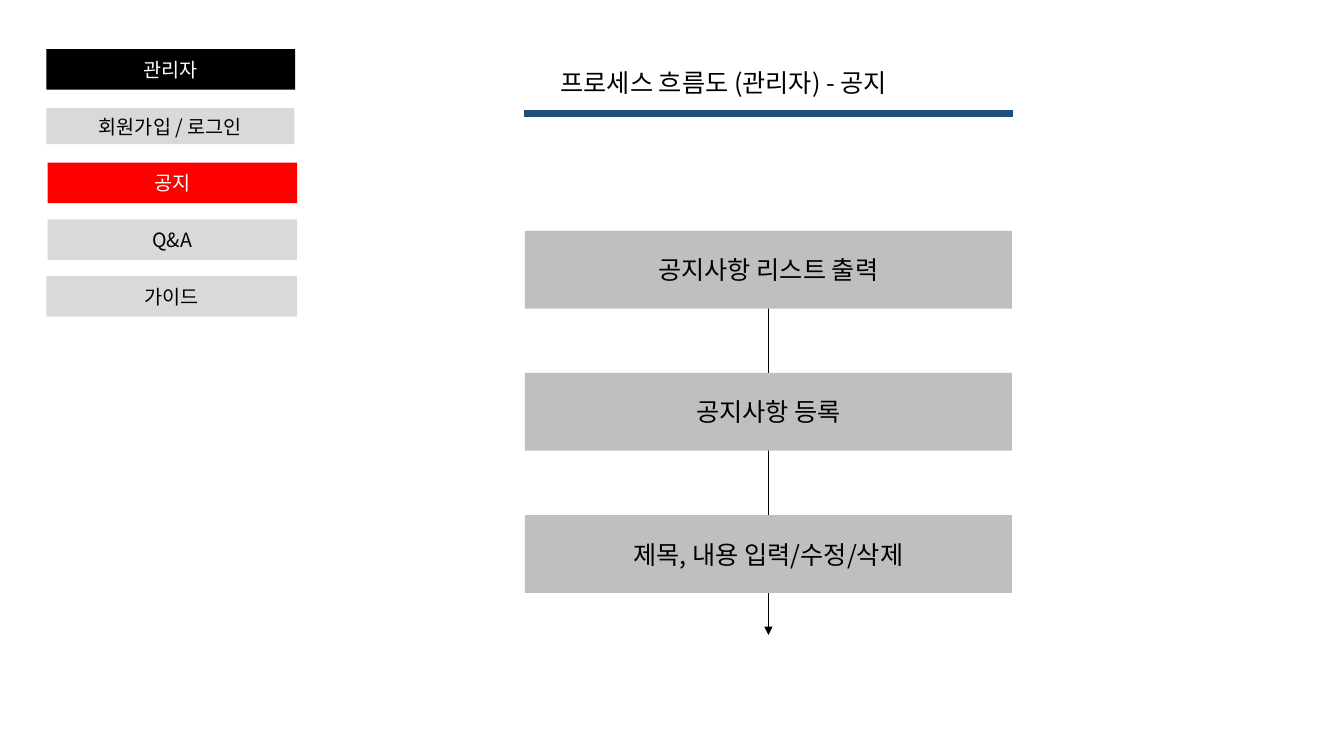
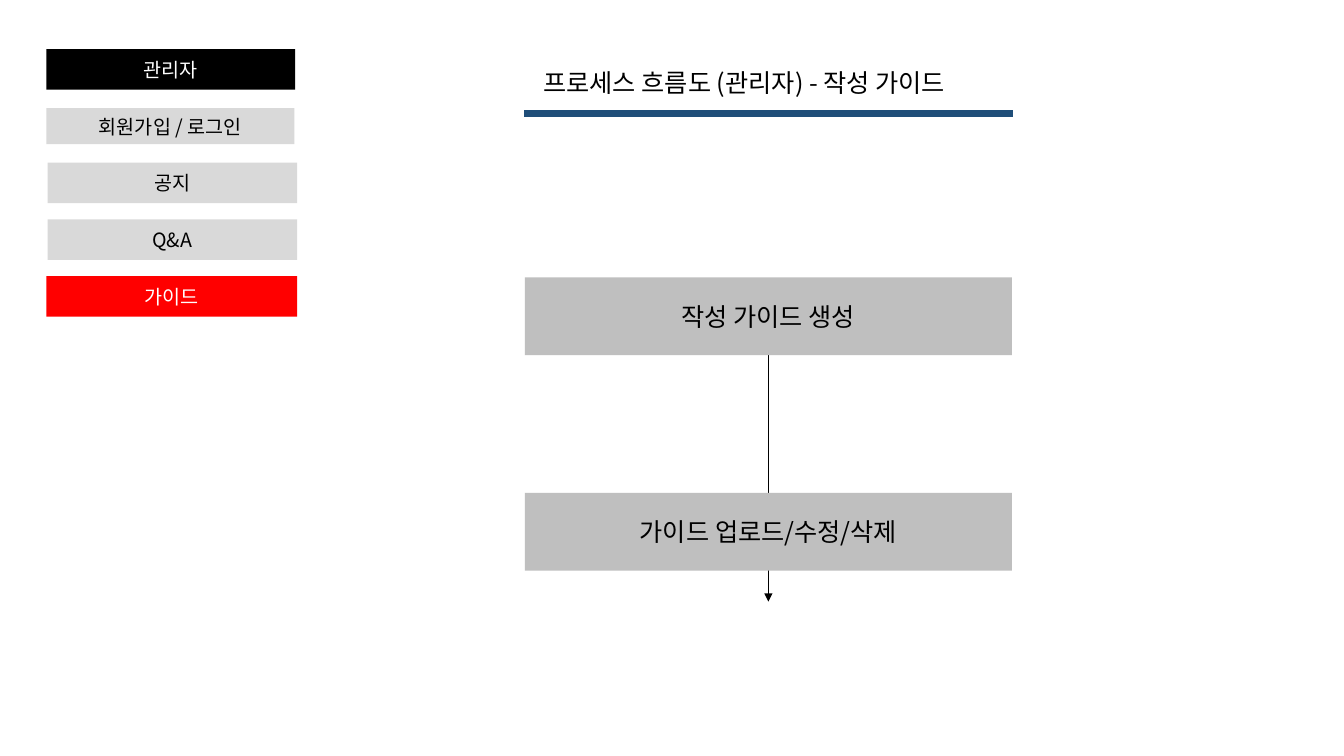
from lxml import etree
from pptx import Presentation
from pptx.dml.color import RGBColor
from pptx.enum.shapes import MSO_CONNECTOR, MSO_SHAPE
from pptx.enum.text import MSO_ANCHOR, PP_ALIGN
from pptx.oxml.ns import qn
from pptx.util import Cm, Pt

RECT = MSO_SHAPE.RECTANGLE
STRAIGHT = MSO_CONNECTOR.STRAIGHT
TOP, MIDDLE = MSO_ANCHOR.TOP, MSO_ANCHOR.MIDDLE
LEFT, CENTER = PP_ALIGN.LEFT, PP_ALIGN.CENTER

FONT = "Noto Sans CJK KR"
BLACK, WHITE = "000000", "FFFFFF"
NAVY, RED = "1F4E79", "FF0000"
MENU_GRAY, STEP_GRAY = "D9D9D9", "BFBFBF"

# label, left, width, height in cm
MENU = [
    ("관리자", 1.17, 6.27, 1.02),
    ("회원가입 / 로그인", 1.17, 6.25, 0.91),
    ("공지", 1.2, 6.29, 1.02),
    ("Q&A", 1.2, 6.29, 1.02),
    ("가이드", 1.17, 6.32, 1.02),
]
MENU_MIDDLE, MENU_PITCH = 1.75, 1.43
STEP_LEFT, STEP_WIDTH, STEP_HEIGHT = 13.23, 12.27, 1.96


def rgb(color):
    return RGBColor.from_string(color)


def write(sp, text, size, color=BLACK, align=CENTER, anchor=MIDDLE):
    tf = sp.text_frame
    tf.word_wrap = True
    tf.vertical_anchor = anchor
    p = tf.paragraphs[0]
    p.alignment = align
    r = p.add_run()
    r.text = text
    font = r.font
    font.name, font.size = FONT, Pt(size)
    font.color.rgb = rgb(color)
    # Hangul takes its typeface from the East Asian slot
    east_asian = etree.SubElement(r._r.get_or_add_rPr(), qn("a:ea"))
    east_asian.set("typeface", FONT)


def add_box(s, left, top, width, height, fill, text, size, color=BLACK):
    sp = s.shapes.add_shape(RECT, Cm(left), Cm(top), Cm(width), Cm(height))
    sp.shadow.inherit = False
    sp.fill.solid()
    sp.fill.fore_color.rgb = rgb(fill)
    sp.line.fill.background()
    write(sp, text, size, color)


def add_line(s, x1, y1, x2, y2, color, width, arrow=False):
    line = s.shapes.add_connector(STRAIGHT, Cm(x1), Cm(y1), Cm(x2), Cm(y2))
    line.line.color.rgb = rgb(color)
    line.line.width = Pt(width)
    if arrow:
        etree.SubElement(line.line._get_or_add_ln(), qn("a:tailEnd"), type="triangle")
    etree.SubElement(line._element.spPr, qn("a:effectLst"))


def add_title(s, text, left, width):
    title = s.shapes.title
    title.left, title.top = Cm(left), Cm(1.57)
    title.width, title.height = Cm(width), Cm(1.03)
    write(title, text, 18, align=LEFT, anchor=TOP)
    add_line(s, 13.21, 2.85, 25.53, 2.85, NAVY, 5)


def add_menu(s, current):
    """Draw the side menu with the current entry in red."""
    for i, (label, left, width, height) in enumerate(MENU):
        if i == 0:
            fill, color = BLACK, WHITE
        elif label == current:
            fill, color = RED, WHITE
        else:
            fill, color = MENU_GRAY, BLACK
        top = MENU_MIDDLE + i * MENU_PITCH - height / 2
        add_box(s, left, top, width, height, fill, label, 14, color)


def add_flow(s, steps, top, pitch, end):
    """Stack the steps over one arrow that runs down to end."""
    x = STEP_LEFT + STEP_WIDTH / 2
    add_line(s, x, top + STEP_HEIGHT / 2, x, end, BLACK, 1, arrow=True)
    for i, step in enumerate(steps):
        add_box(s, STEP_LEFT, top + i * pitch, STEP_WIDTH, STEP_HEIGHT,
                STEP_GRAY, step, 18)


def add_process_slide(prs, menu, title, title_left, title_width, **flow):
    s = prs.slides.add_slide(prs.slide_layouts[5])
    add_flow(s, **flow)
    add_title(s, title, title_left, title_width)
    add_menu(s, menu)


def main():
    prs = Presentation()
    prs.slide_width, prs.slide_height = Cm(33.87), Cm(19.05)
    add_process_slide(
        prs, "공지", "프로세스 흐름도 (관리자) - 공지", 13.87, 10.97,
        steps=["공지사항 리스트 출력", "공지사항 등록", "제목, 내용 입력/수정/삭제"],
        top=5.82, pitch=3.58, end=16)
    add_process_slide(
        prs, "가이드", "프로세스 흐름도 (관리자) - 작성 가이드", 13.44, 11.86,
        steps=["작성 가이드 생성", "가이드 업로드/수정/삭제"],
        top=6.99, pitch=5.43, end=15.16)
    prs.save("out.pptx")


if __name__ == "__main__":
    main()
